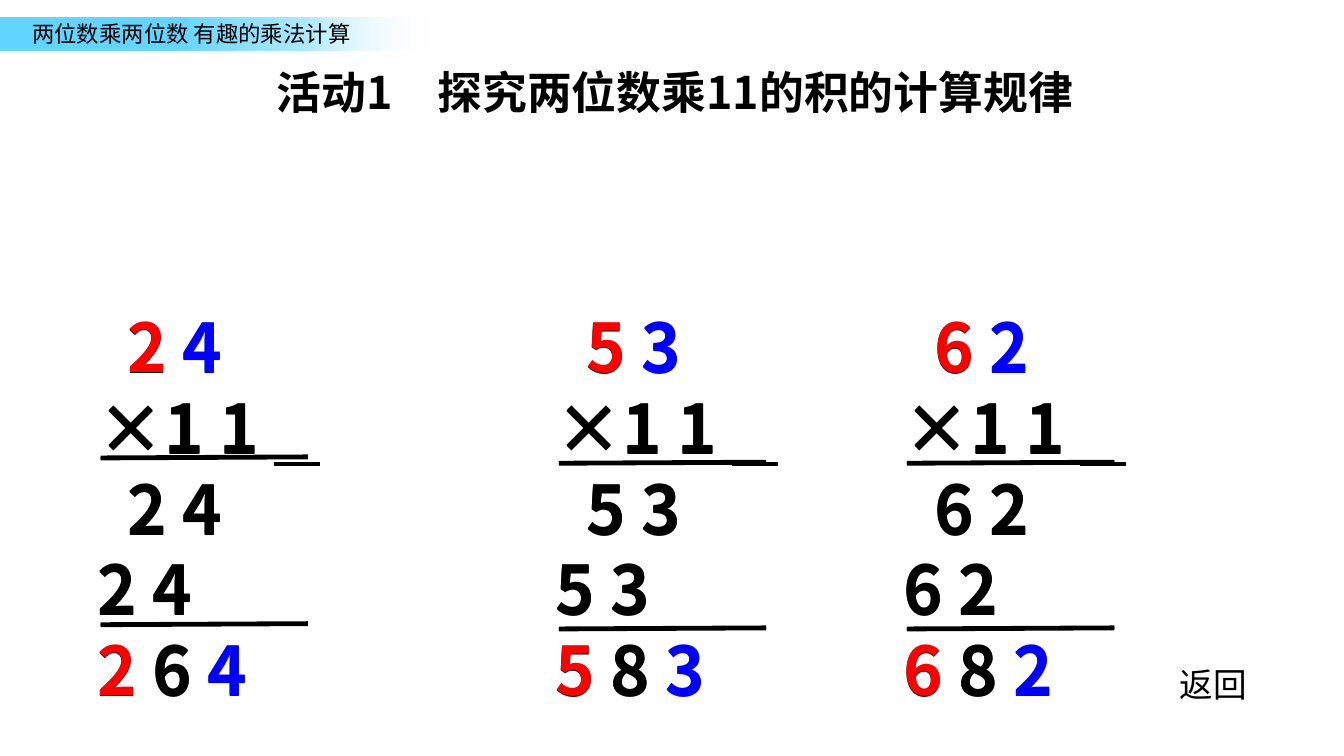
from lxml import etree
from pptx import Presentation
from pptx.dml.color import RGBColor
from pptx.enum.shapes import MSO_CONNECTOR, MSO_SHAPE
from pptx.enum.text import MSO_ANCHOR, MSO_AUTO_SIZE, PP_ALIGN
from pptx.oxml import parse_xml
from pptx.oxml.ns import nsdecls, qn
from pptx.util import Cm, Pt

FONT = "Noto Sans CJK SC"
BLACK, RED, BLUE = "000000", "FF0000", "0000FF"


def write(sp, rows, size, bold=False, wrap=True, inset=(0.25, 0.13)):
    tf = sp.text_frame
    tf.word_wrap = wrap
    tf.auto_size = MSO_AUTO_SIZE.NONE
    tf.vertical_anchor = MSO_ANCHOR.TOP
    tf.margin_left = tf.margin_right = Cm(inset[0])
    tf.margin_top = tf.margin_bottom = Cm(inset[1])
    for i, (indent, runs) in enumerate(rows):
        p = tf.add_paragraph() if i else tf.paragraphs[0]
        p.alignment = PP_ALIGN.LEFT
        p.line_spacing = Pt(size * 1.2)
        p.space_before = Pt(0)
        pPr = p._p.get_or_add_pPr()
        pPr.set("marL", str(Cm(indent)))
        pPr.set("indent", "0")
        for text, color in runs:
            r = p.add_run()
            r.text = text
            r.font.size, r.font.bold, r.font.name = Pt(size), bold, FONT
            r.font.color.rgb = RGBColor.from_string(color)
            ea = etree.SubElement(r._r.get_or_add_rPr(), qn("a:ea"))
            ea.set("typeface", FONT)


def rule(x, y, length, rise=0.0, weight=2.0):
    ln = s.shapes.add_connector(
        MSO_CONNECTOR.STRAIGHT, Cm(x), Cm(y), Cm(x + length), Cm(y - rise))
    ln.line.color.rgb = RGBColor.from_string(BLACK)
    ln.line.width = Pt(weight)
    etree.SubElement(ln._element.spPr, qn("a:effectLst"))


prs = Presentation()
prs.slide_width, prs.slide_height = Cm(25.4), Cm(14.28)
s = prs.slides.add_slide(prs.slide_layouts[5])

band = s.shapes.add_shape(MSO_SHAPE.RECTANGLE, Cm(0), Cm(0.34), Cm(8.33), Cm(0.62))
band.shadow.inherit = False
band.line.fill.background()
stops = "".join(
    f'<a:gs pos="{pos * 1000}"><a:srgbClr val="{color}">'
    f'<a:alpha val="{alpha * 1000}"/></a:srgbClr></a:gs>'
    for pos, color, alpha in [(40, "63D6FF", 100), (70, "96E4FF", 76), (97, "FFFFFF", 0)])
grad = parse_xml(
    f'<a:gradFill {nsdecls("a")} rotWithShape="1"><a:gsLst>{stops}</a:gsLst>'
    '<a:lin ang="0" scaled="0"/></a:gradFill>')
band._element.spPr.find(qn("a:prstGeom")).addnext(grad)

header = s.shapes.add_textbox(Cm(0.36), Cm(0.25), Cm(7.29), Cm(0.76))
write(header, [(0, [("两位数乘两位数 有趣的乘法计算", BLACK)])], 12)

problems = [
    (1.3, "24", "264", 8.66, 11.81),
    (9.96, "53", "583", 8.76, 11.89),
    (16.54, "62", "682", 8.76, 11.89),
]
for lift, lead in [(0, BLACK), (0.02, RED)]:
    for x, (tens, ones), (first, middle, last), y1, y2 in problems:
        sp = s.shapes.add_textbox(Cm(x), Cm(5.66 - lift), Cm(6.2), Cm(9.4))
        write(sp, [
            (0.87, [(f"{tens} ", lead), (ones, BLUE)]),
            (0.29, [("×1 1", BLACK)]),
            (0.87, [(f"{tens} {ones}", BLACK)]),
            (0.29, [(f"{tens} {ones}", BLACK)]),
            (0.29, [(f"{first} ", lead), (f"{middle} ", BLACK), (last, BLUE)]),
        ], 36, bold=True)
        for y in (y1, y2):
            rule(x + 0.6, y - lift, 3.92, rise=0.02)

for x, *_ in problems:
    rule(x + 3.88, 8.76, 0.86, weight=2.25)

title = s.shapes.title
title.left, title.top, title.width, title.height = Cm(5.05), Cm(1.12), Cm(17.4), Cm(1.22)
write(title, [(0, [("活动1　探究两位数乘11的积的计算规律", BLACK)])], 24,
      bold=True, inset=(0.18, 0.1))

back = s.shapes.add_textbox(Cm(22.05), Cm(12.42), Cm(1.8), Cm(1.02))
write(back, [(0, [("返回", BLACK)])], 18, wrap=False)

prs.save("out.pptx")
